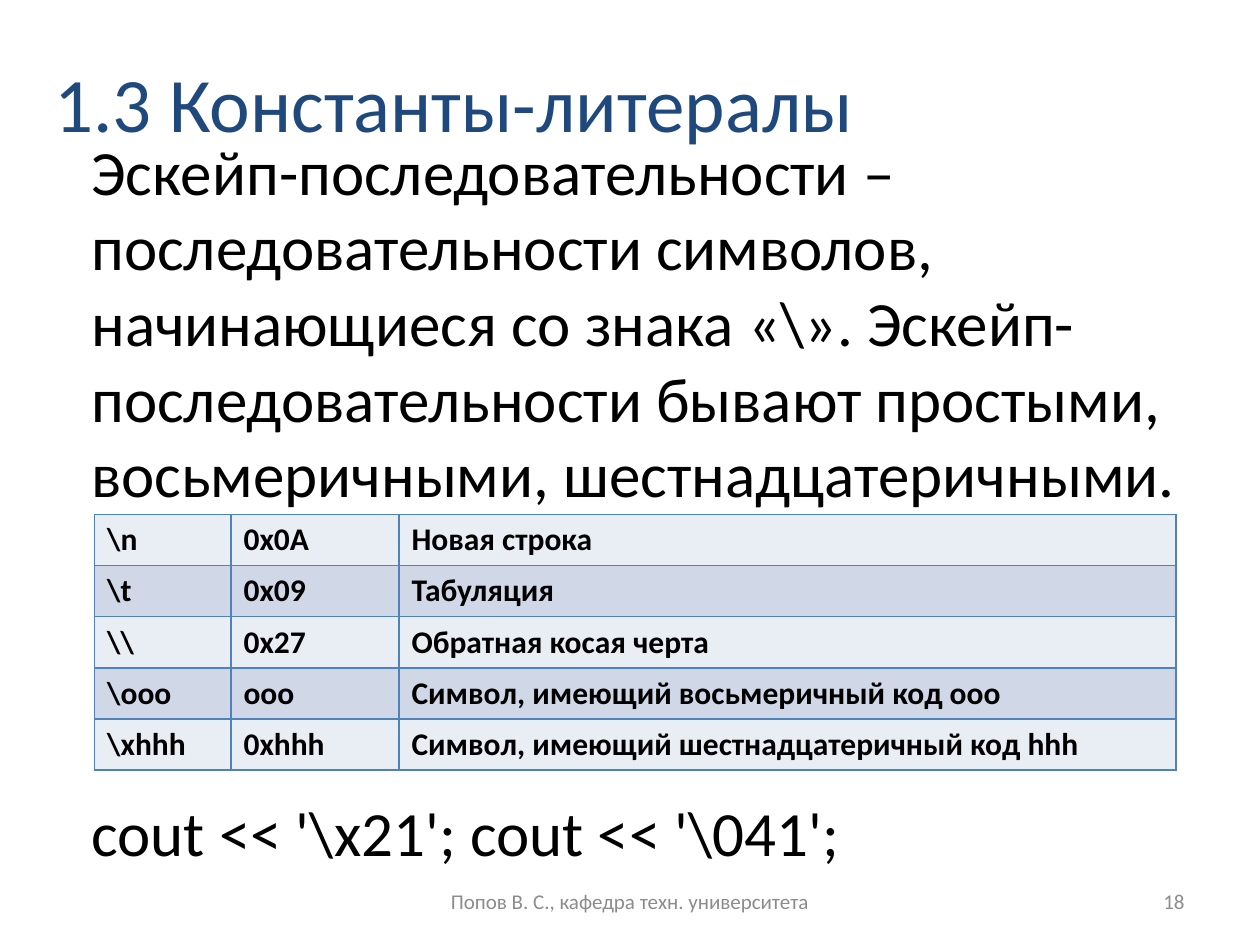
from lxml import etree
from pptx import Presentation
from pptx.dml.color import RGBColor
from pptx.enum import text
from pptx.oxml import ns
from pptx.util import Pt

FONT = "Calibri"
BLACK, NAVY, GRAY = "000000", "1F497D", "8C8C8C"
BORDER = "4F81BD"
BANDS = ("E9EDF4", "D0D8E8")
ALIGN = text.PP_ALIGN
ANCHOR = text.MSO_ANCHOR

ESCAPES = [
    ("\\n", "0x0A", "Новая строка"),
    ("\\t", "0x09", "Табуляция"),
    ("\\\\", "0x27", "Обратная косая черта"),
    ("\\ooo", "ooo", "Символ, имеющий восьмеричный код ooo"),
    ("\\xhhh", "0xhhh", "Символ, имеющий шестнадцатеричный код hhh"),
]
COLUMN_WIDTHS = (78, 96, 444)
ROW_HEIGHT = 29.2


def rgb(value):
    return RGBColor.from_string(value)


def add_run(paragraph, wording, size, color, bold=False):
    run = paragraph.add_run()
    run.text = wording
    run.font.name = FONT
    run.font.size = Pt(size)
    run.font.bold = bold
    run.font.color.rgb = rgb(color)


def add_text(slide, box, wording, size, color, align=ALIGN.LEFT,
             anchor=ANCHOR.MIDDLE, indent=0):
    frame = slide.shapes.add_textbox(*map(Pt, box)).text_frame
    frame.word_wrap = True
    frame.vertical_anchor = anchor
    frame.margin_left = Pt(7.2 + indent)
    paragraph = frame.paragraphs[0]
    paragraph.alignment = align
    add_run(paragraph, wording, size, color)


def add_body(slide, top, height, wording):
    add_text(slide, (18, top, 672, height), wording, 36, BLACK,
             anchor=ANCHOR.TOP, indent=27)


def set_borders(cell, color, width):
    properties = cell._tc.get_or_add_tcPr()
    for position, side in enumerate(("a:lnL", "a:lnR", "a:lnT", "a:lnB")):
        line = etree.Element(ns.qn(side), w=str(Pt(width)))
        fill = etree.SubElement(line, ns.qn("a:solidFill"))
        etree.SubElement(fill, ns.qn("a:srgbClr"), val=color)
        properties.insert(position, line)


def add_escape_table(slide, left, top):
    table = slide.shapes.add_table(
        len(ESCAPES), len(COLUMN_WIDTHS), Pt(left), Pt(top),
        Pt(sum(COLUMN_WIDTHS)), Pt(ROW_HEIGHT * len(ESCAPES))).table
    table.first_row = False
    for column, width in zip(table.columns, COLUMN_WIDTHS):
        column.width = Pt(width)
    for index, (row, entries) in enumerate(zip(table.rows, ESCAPES)):
        row.height = Pt(ROW_HEIGHT)
        for cell, entry in zip(row.cells, entries):
            cell.fill.solid()
            cell.fill.fore_color.rgb = rgb(BANDS[index % 2])
            set_borders(cell, BORDER, 1)
            add_run(cell.text_frame.paragraphs[0], entry, 18, BLACK, bold=True)


def main():
    deck = Presentation()
    deck.slide_width, deck.slide_height = Pt(720), Pt(540)
    slide = deck.slides.add_slide(deck.slide_layouts[6])

    add_text(slide, (24, 0, 588, 116), "1.3 Константы-литералы", 44, NAVY)
    add_text(slide, (516, 500.5, 168, 28.75), "18", 12, GRAY, ALIGN.RIGHT)
    add_text(slide, (246, 500.5, 228, 28.75),
             "Попов В. С., кафедра техн. университета", 12, GRAY, ALIGN.CENTER)
    add_body(slide, 72, 225.5,
             "Эскейп-последовательности – последовательности символов, "
             "начинающиеся со знака «\\». Эскейп-последовательности бывают "
             "простыми, восьмеричными, шестнадцатеричными.")
    add_escape_table(slide, 54, 294)
    add_body(slide, 450, 51, "cout << '\\x21'; cout << '\\041';")

    deck.save("out.pptx")


main()
